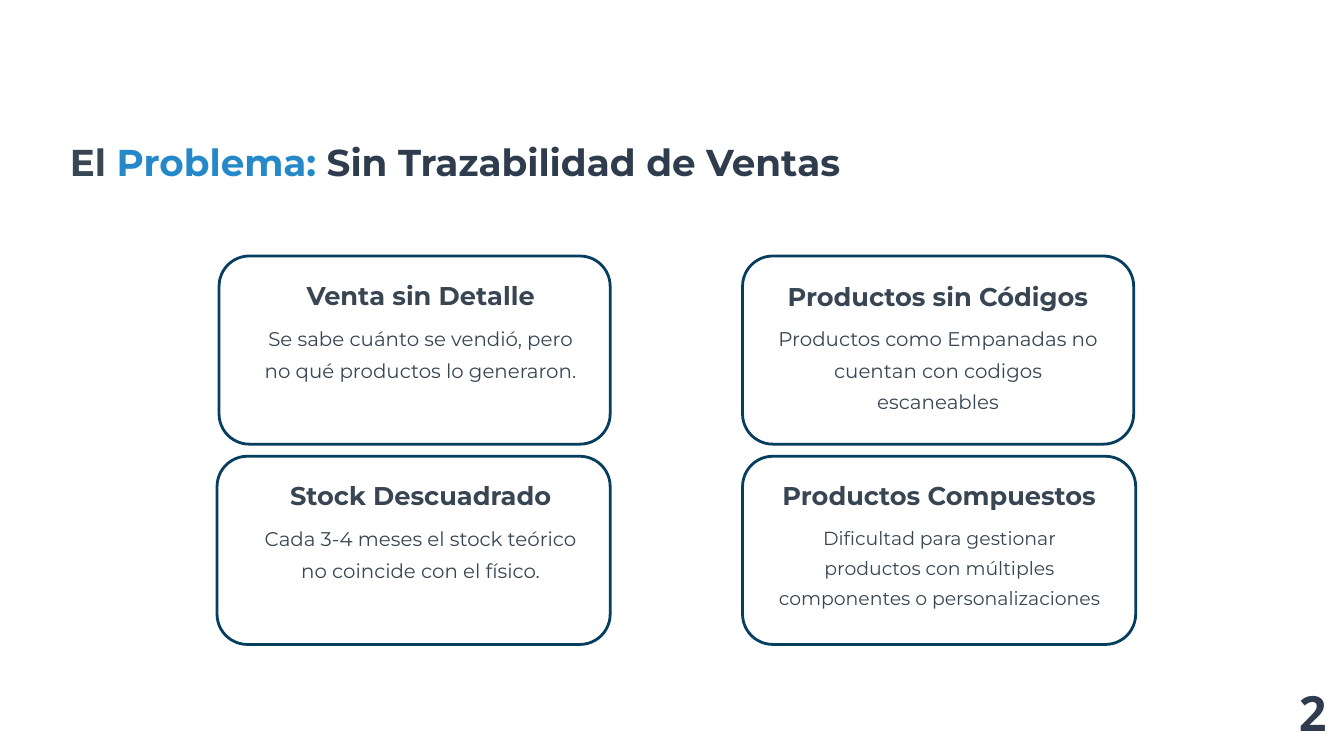
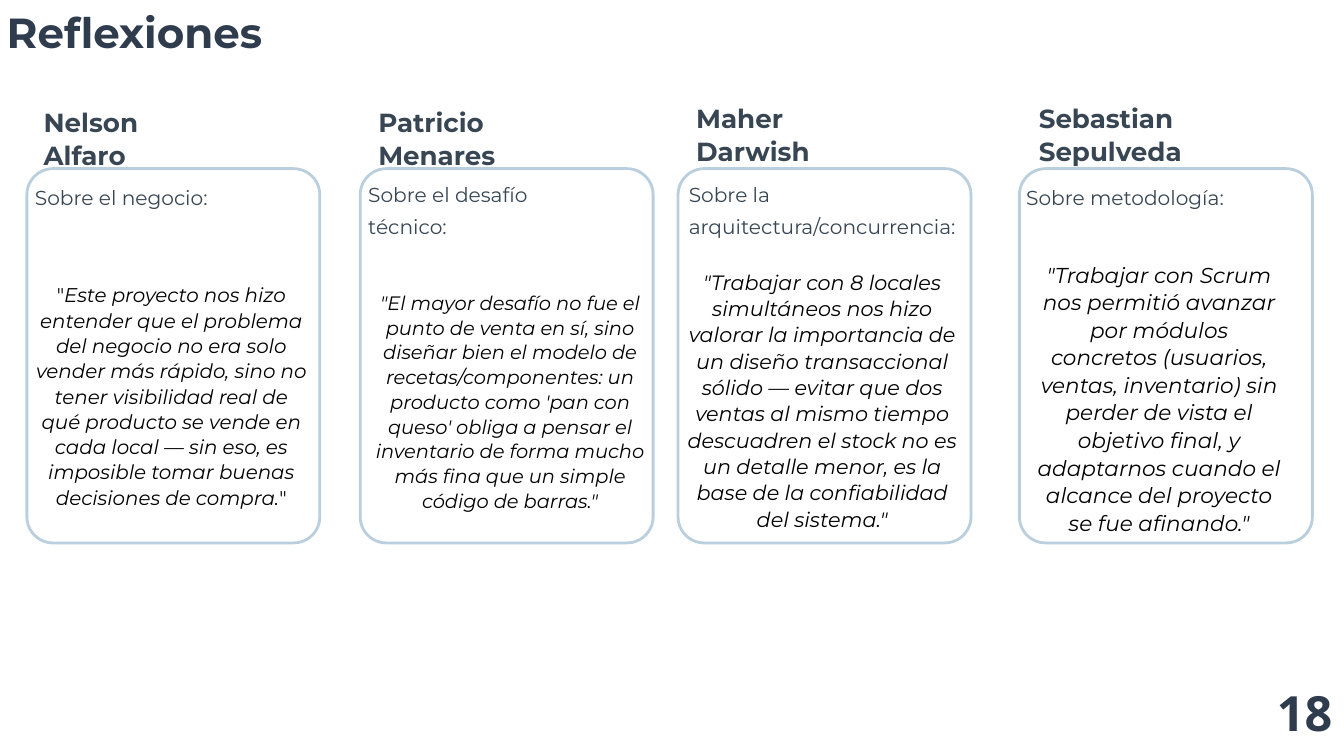
"""Build two slides: the sales traceability problem and the team's reflections."""
from pptx import Presentation
from pptx.dml.color import RGBColor
from pptx.enum.shapes import MSO_SHAPE
from pptx.enum.text import MSO_AUTO_SIZE, PP_ALIGN
from pptx.util import Inches, Pt

ROUNDED = MSO_SHAPE.ROUNDED_RECTANGLE
LEFT, CENTER = PP_ALIGN.LEFT, PP_ALIGN.CENTER
GROW = MSO_AUTO_SIZE.SHAPE_TO_FIT_TEXT

WHITE = RGBColor(0xFF, 0xFF, 0xFF)
BLACK = RGBColor(0x00, 0x00, 0x00)
SLATE = RGBColor(0x38, 0x46, 0x53)
NAVY = RGBColor(0x2E, 0x3C, 0x4E)
BLUE = RGBColor(0x25, 0x89, 0xC9)
DEEP_BLUE = RGBColor(0x06, 0x3E, 0x5F)
PALE_BLUE = RGBColor(0xBA, 0xCF, 0xDD)

BODY_FONT = "Montserrat"
NUMBER_FONT = "Open Sans"


def add_text(slide, box, paragraphs, size, spacing, align=LEFT, bold=False, font=BODY_FONT):
    """Add a text box; each paragraph is a list of (text, colour, italic) runs."""
    shape = slide.shapes.add_textbox(*[Inches(length) for length in box])
    frame = shape.text_frame
    frame.word_wrap = True
    frame.auto_size = GROW
    frame.margin_left = frame.margin_top = frame.margin_right = frame.margin_bottom = 0
    for index, runs in enumerate(paragraphs):
        paragraph = frame.add_paragraph() if index else frame.paragraphs[0]
        paragraph.alignment = align
        paragraph.line_spacing = Pt(spacing)
        for text, color, italic in runs:
            run = paragraph.add_run()
            run.text = text
            run.font.name = font
            run.font.size = Pt(size)
            run.font.bold = bold
            run.font.italic = italic
            run.font.color.rgb = color


def add_card(slide, box, radius, color):
    """Add a white rounded card with a coloured outline."""
    card = slide.shapes.add_shape(ROUNDED, *[Inches(length) for length in box])
    card.adjustments[0] = radius / min(box[2:])
    card.shadow.inherit = False
    card.fill.solid()
    card.fill.fore_color.rgb = WHITE
    card.line.color.rgb = color
    card.line.width = Pt(3)


presentation = Presentation()
presentation.slide_width = Inches(20)
presentation.slide_height = Inches(11.25)
blank_layout = presentation.slide_layouts[6]

headers = [
    ((1.04, 1.96, 17.41, 0.74), 40,
     [("El ", SLATE, False), ("Problema:", BLUE, False), (" Sin Trazabilidad de Ventas", NAVY, False)],
     (19.33, 10.02, 0.41, 0.97), "2"),
    ((0.1, 0.08, 6.24, 0.79), 45, [("Reflexiones", NAVY, False)],
     (19, 10.02, 0.83, 0.97), "18"),
]
slides = []
for title_box, title_size, title_runs, number_box, number in headers:
    slide = presentation.slides.add_slide(blank_layout)
    slide.background.fill.solid()
    slide.background.fill.fore_color.rgb = WHITE
    add_text(slide, title_box, [title_runs], title_size, 55.6, bold=True)
    add_text(slide, number_box, [[(number, NAVY, False)]], 52, 72.8, CENTER, True, NUMBER_FONT)
    slides.append(slide)
problem_slide, reflections_slide = slides

problems = [
    (3.26, 3.81, 5.82, (4.31, 4.14, 3.9), "Venta sin Detalle", 3.79, 21.2, 33.8,
     "Se sabe cuánto se vendió, pero no qué productos lo generaron."),
    (11.05, 3.81, 5.82, (11.71, 4.15, 4.49), "Productos sin Códigos", 11.49, 21.2, 33.8,
     "Productos como Empanadas no cuentan con codigos escaneables"),
    (3.23, 6.79, 5.85, (4.31, 7.12, 3.9), "Stock Descuadrado", 3.79, 21.2, 33.8,
     "Cada 3-4 meses el stock teórico no coincide con el físico."),
    (11.05, 6.79, 5.85, (11.63, 7.12, 4.69), "Productos Compuestos", 11.51, 20.2, 32.2,
     "Dificultad para gestionar productos con múltiples componentes o personalizaciones"),
]
for left, top, width, heading_box, heading, body_left, size, spacing, body in problems:
    add_card(problem_slide, (left, top, width, 2.8), 0.45, DEEP_BLUE)
    add_text(problem_slide, (*heading_box, 0.5), [[(heading, SLATE, False)]], 27.5, 35, CENTER, True)
    add_text(problem_slide, (body_left, top + 0.94, 4.94, 1.4), [[(body, SLATE, False)]],
             size, spacing, CENTER)

reflections = [
    (0.4, (0.65, 1.55, 3.32, 0.96), ["Nelson", "Alfaro"],
     (0.52, 2.64, 3.6, 0.45), "Sobre el negocio:",
     (0.52, 4.19, 4.06, 3.37), 21.3, 27.1,
     [('"', BLACK, False),
      ("Este proyecto nos hizo entender que el problema del negocio no era solo vender más rápido, "
       "sino no tener visibilidad real de qué producto se vende en cada local — sin eso, es "
       "imposible tomar buenas decisiones de compra.", BLACK, True),
      ('"', BLACK, False)]),
    (5.36, (5.63, 1.55, 3.6, 0.96), ["Patricio", "Menares"],
     (5.48, 2.59, 3.6, 0.93), "Sobre el desafío técnico:",
     (5.36, 4.31, 4.46, 3.27), 20.8, 26.5,
     [('"El mayor desafío no fue el punto de venta en sí, sino diseñar bien el modelo de '
       "recetas/componentes: un producto como 'pan con queso' obliga a pensar el inventario de "
       'forma mucho más fina que un simple código de barras."', BLACK, True)]),
    (10.09, (10.36, 1.5, 3.34, 0.96), ["Maher", "Darwish"],
     (10.25, 2.59, 4.04, 0.93), "Sobre la arquitectura/concurrencia:",
     (10.09, 3.99, 4.29, 3.85), 22.2, 28.2,
     [('"Trabajar con 8 locales simultáneos nos hizo valorar la importancia de un diseño '
       "transaccional sólido — evitar que dos ventas al mismo tiempo descuadren el stock no es "
       'un detalle menor, es la base de la confiabilidad del sistema."', BLACK, True)]),
    (15.17, (15.46, 1.5, 3.6, 0.96), ["Sebastian Sepulveda"],
     (15.27, 2.64, 3.6, 0.45), "Sobre metodología:",
     (15.41, 3.87, 3.68, 4.06), 23.1, 29.5,
     [('"Trabajar con Scrum nos permitió avanzar por módulos concretos (usuarios, ventas, '
       "inventario) sin perder de vista el objetivo final, y adaptarnos cuando el alcance del "
       'proyecto se fue afinando."', BLACK, True)]),
]
for left, name_box, names, topic_box, topic, quote_box, size, spacing, quote in reflections:
    add_card(reflections_slide, (left, 2.51, 4.36, 5.57), 0.39, PALE_BLUE)
    add_text(reflections_slide, name_box, [[(name, SLATE, False)] for name in names],
             28, 35.6, bold=True)
    add_text(reflections_slide, topic_box, [[(topic, SLATE, False)]], 21.6, 34.4)
    add_text(reflections_slide, quote_box, [quote], size, spacing, CENTER)

presentation.save("out.pptx")
